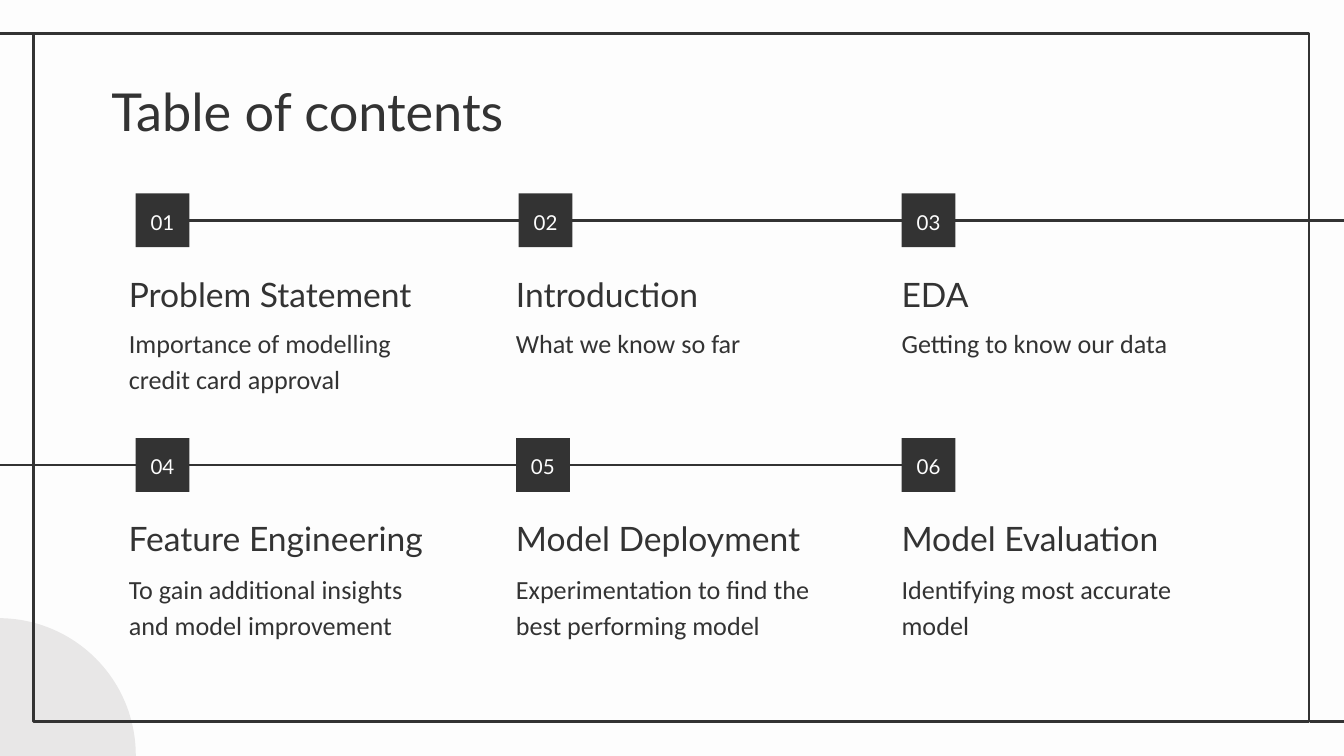
from pptx import Presentation
from pptx.dml.color import RGBColor
from pptx.enum.shapes import MSO_CONNECTOR as Link, MSO_SHAPE as Kind
from pptx.enum.text import MSO_ANCHOR as Anchor, PP_ALIGN as Align
from pptx.oxml.ns import qn
from pptx.util import Inches, Pt
from lxml.etree import SubElement

DARK, LIGHT, GREY = "333333", "FDFDFD", "E8E7E7"
TITLE = dict(name="Lato", size=Pt(28))
HEAD = dict(name="Lato", size=Pt(18))
BODY = dict(name="Calibri", size=Pt(14))
BADGE = dict(name="Lato", size=Pt(11))
COLS = [0.86, 3.74, 6.61]
ROWS = [
    (1.44, 2.02, 2.3, [
        ("01", 1.01, 2.52, "Problem Statement", "Importance of modelling credit card approval"),
        ("02", 3.86, 2.52, "Introduction", "What we know so far"),
        ("03", 6.71, 2.52, "EDA", "Getting to know our data"),
    ]),
    (3.26, 3.83, 4.13, [
        ("04", 1.01, 2.7, "Feature Engineering", "To gain additional insights and model improvement"),
        ("05", 3.84, 2.52, "Model Deployment", "Experimentation to find the best performing model"),
        ("06", 6.71, 2.52, "Model Evaluation", "Identifying most accurate model"),
    ]),
]


def paint(color, value):
    """Set a colour from a hex string."""
    color.rgb = RGBColor.from_string(value)


def write(shape, text, style, color=DARK, anchor=Anchor.TOP, align=Align.LEFT, space=1.15):
    """Put one styled paragraph into a shape."""
    frame = shape.text_frame
    edges = ("margin_left", "margin_top", "margin_right", "margin_bottom")
    form = dict.fromkeys(edges, Inches(0.1)) | dict(word_wrap=True, vertical_anchor=anchor)
    for key, value in form.items():
        setattr(frame, key, value)
    para = frame.paragraphs[0]
    para.alignment, para.line_spacing = align, space
    run = para.add_run()
    run.text = text
    for key, value in style.items():
        setattr(run.font, key, value)
    paint(run.font.color, color)


def add_text(slide, box, text, style, **form):
    """Add a text box."""
    shape = slide.shapes.add_textbox(*map(Inches, box))
    write(shape, text, style, **form)


def add_shape(slide, kind, box, fill=None):
    """Add a filled shape, or an outlined one if there is no fill."""
    shape = slide.shapes.add_shape(kind, *map(Inches, box))
    shape.shadow.inherit = False
    if fill:
        shape.fill.solid()
        paint(shape.fill.fore_color, fill)
        shape.line.fill.background()
    else:
        shape.fill.background()
        paint(shape.line.color, DARK)
        shape.line.width = Pt(1.5)
    return shape


def add_line(slide, start, end, top):
    """Add a level line."""
    line = slide.shapes.add_connector(Link.STRAIGHT, *map(Inches, (start, top, end, top)))
    paint(line.line.color, DARK)
    line.line.width = Pt(1.5)
    SubElement(line._element.spPr, qn("a:effectLst"))


def add_item(slide, left, tops, item):
    """Add a numbered badge with its heading and text."""
    top, head, body = tops
    label, spot, width, name, text = item
    badge = add_shape(slide, Kind.RECTANGLE, (spot, top, 0.4, 0.4), DARK)
    write(badge, label, BADGE, color=LIGHT, anchor=Anchor.MIDDLE, align=Align.CENTER)
    add_text(slide, (left, head, width, 0.42), name, HEAD, anchor=Anchor.BOTTOM)
    add_text(slide, (left, body, 2.52, 0.63), text, BODY)


def main():
    """Build and save the slide."""
    deck = Presentation()
    deck.slide_width, deck.slide_height = Inches(10), Inches(10 * 9 / 16)
    slide = deck.slides.add_slide(deck.slide_layouts[6])
    slide.background.fill.solid()
    paint(slide.background.fill.fore_color, LIGHT)
    add_shape(slide, Kind.OVAL, (-1.03, 4.6, 2.04, 2.04), GREY)
    add_shape(slide, Kind.RECTANGLE, (0.25, 0.25, 9.49, 5.12))
    for line in [(0.26, -0.02, 0.25), (10.03, 9.75, 5.37), (6.71, -0.18, 3.46), (1.41, 10.17, 1.64)]:
        add_line(slide, *line)
    add_text(slide, (0.73, 0.49, 8.43, 0.63), "Table of contents", TITLE, space=1)
    for *tops, items in ROWS:
        for left, item in zip(COLS, items):
            add_item(slide, left, tops, item)
    deck.save("out.pptx")


if __name__ == "__main__":
    main()
